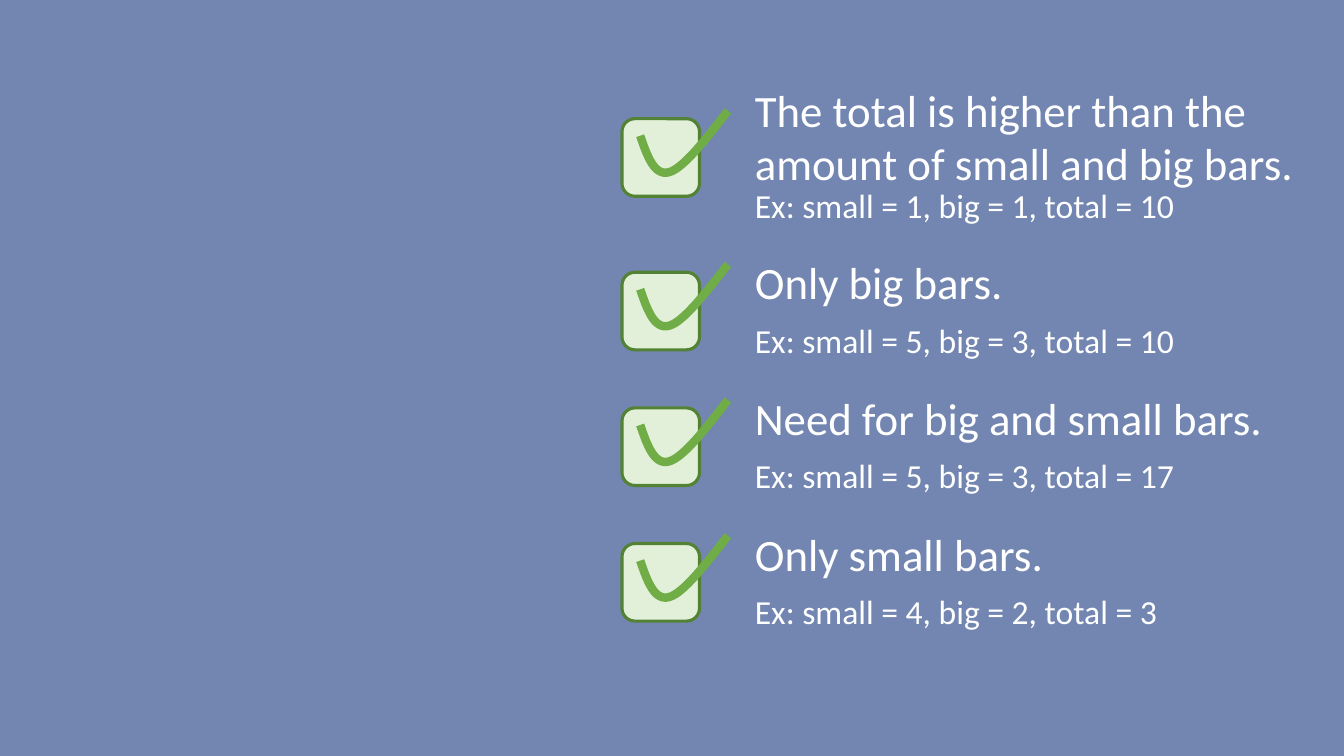
from pptx import Presentation
from pptx.dml.color import RGBColor
from pptx.enum.shapes import MSO_SHAPE
from pptx.enum.text import MSO_AUTO_SIZE
from pptx.util import Pt

ROUNDED = MSO_SHAPE.ROUNDED_RECTANGLE
GROW = MSO_AUTO_SIZE.SHAPE_TO_FIT_TEXT
BLANK_LAYOUT = 6

SLATE = RGBColor(0x72, 0x86, 0xB1)
WHITE = RGBColor(0xFF, 0xFF, 0xFF)
PALE_GREEN = RGBColor(0xE2, 0xF0, 0xD9)
DARK_GREEN = RGBColor(0x54, 0x82, 0x35)
TICK_GREEN = RGBColor(0x70, 0xAD, 0x47)

CHECKBOX_SIZE = 55.4
TEXT_INDENT = 87.8
# Two cubic curves, in points from the checkbox corner
TICK_CURVES = [
    [(13, 12.2), (18, 26.6), (23, 41.3), (33.8, 38.2)],
    [(33.8, 38.2), (43.9, 35.3), (59.8, 14.9), (75.6, -5.6)],
]
CURVE_STEPS = 16

# Offsets of the heading and the example from the checkbox top
ONE_LINE = {"heading_offset": -15.8, "heading_height": 46, "example_offset": 30.2}
TWO_LINES = {"heading_offset": -29.5, "heading_height": 85, "example_offset": 43.9}

LIST_LEFT, LIST_WIDTH = 444.3, 496.8
FIRST_TOP, SECOND_TOP, ROW_PITCH = 84.8, 194.5, 96.9
CASES = [
    ("The total is higher than the amount of small and big bars.",
     "Ex: small = 1, big = 1, total = 10"),
    ("Only big bars.", "Ex: small = 5, big = 3, total = 10"),
    ("Need for big and small bars.", "Ex: small = 5, big = 3, total = 17"),
    ("Only small bars.", "Ex: small = 4, big = 2, total = 3"),
]


def add_text(page, text, left, top, width, height, *, size, wrap=True,
             font="Calibri", color=WHITE):
    """Add a text box holding one formatted line of text."""
    box = page.shapes.add_textbox(Pt(left), Pt(top), Pt(width), Pt(height))
    box.text_frame.word_wrap = wrap
    box.text_frame.auto_size = GROW
    span = box.text_frame.paragraphs[0].add_run()
    span.text = text
    span.font.name = font
    span.font.size = Pt(size)
    span.font.color.rgb = color


def curve_point(curve, t):
    """Return the point at t, from 0 to 1, on a cubic curve."""
    weights = ((1 - t) ** 3, 3 * t * (1 - t) ** 2, 3 * t ** 2 * (1 - t), t ** 3)
    return tuple(sum(w * point[axis] for w, point in zip(weights, curve))
                 for axis in (0, 1))


def add_checkbox(page, left, top, size):
    """Draw a rounded checkbox with a tick reaching past its corner."""
    checkbox = page.shapes.add_shape(ROUNDED, Pt(left), Pt(top), Pt(size), Pt(size))
    checkbox.shadow.inherit = False
    checkbox.fill.solid()
    checkbox.fill.fore_color.rgb = PALE_GREEN
    checkbox.line.color.rgb = DARK_GREEN
    checkbox.line.width = Pt(2.25)

    scale = size / CHECKBOX_SIZE
    points = [TICK_CURVES[0][0]]
    for curve in TICK_CURVES:
        points += [curve_point(curve, step / CURVE_STEPS)
                   for step in range(1, CURVE_STEPS + 1)]
    outline = [(Pt(left + x * scale), Pt(top + y * scale)) for x, y in points]
    builder = page.shapes.build_freeform(*outline[0])
    builder.add_line_segments(outline[1:], close=False)
    tick = builder.convert_to_shape()
    tick.shadow.inherit = False
    tick.fill.background()
    tick.line.color.rgb = TICK_GREEN
    tick.line.width = Pt(6)


def add_case(page, heading, example, left, top, width, *, heading_offset,
             heading_height, example_offset):
    """Place a checkbox with its heading and example to the right."""
    add_checkbox(page, left, top, CHECKBOX_SIZE)
    text_left, text_width = left + TEXT_INDENT, width - TEXT_INDENT
    add_text(page, heading, text_left, top + heading_offset, text_width,
             heading_height, size=32)
    add_text(page, example, text_left, top + example_offset, 316, 36,
             size=24, wrap=False)


def add_checklist(page, left, width):
    """Stack the cases, with a taller first row."""
    for index, (heading, example) in enumerate(CASES):
        top = SECOND_TOP + (index - 1) * ROW_PITCH if index else FIRST_TOP
        add_case(page, heading, example, left, top, width,
                 **(ONE_LINE if index else TWO_LINES))


def main():
    """Build and save the deck."""
    deck = Presentation()
    deck.slide_width, deck.slide_height = Pt(960), Pt(540)
    page = deck.slides.add_slide(deck.slide_layouts[BLANK_LAYOUT])
    page.background.fill.solid()
    page.background.fill.fore_color.rgb = SLATE
    add_checklist(page, LIST_LEFT, LIST_WIDTH)
    deck.save("out.pptx")


main()
